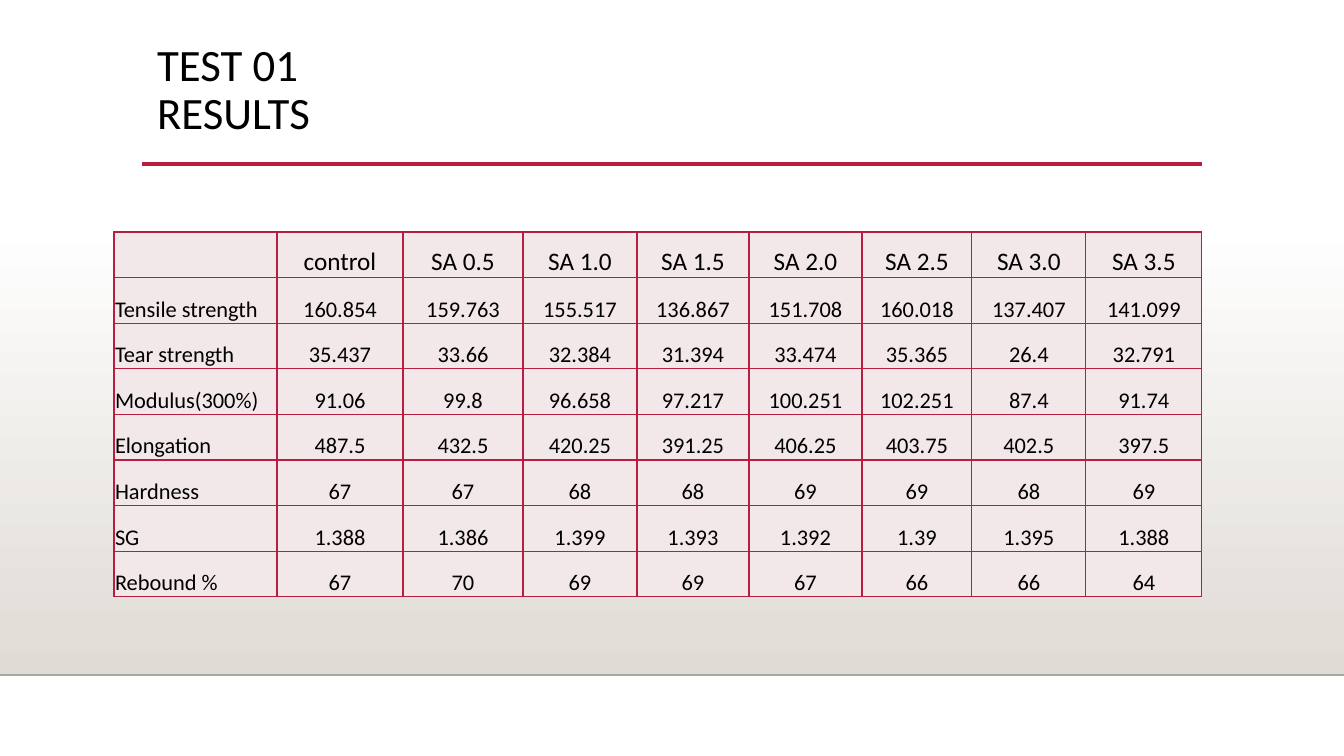
from pptx import Presentation
from pptx import util as u
from pptx.dml.color import RGBColor
from pptx.enum import shapes, text
from pptx.oxml import parse_xml
from pptx.oxml.ns import nsdecls
from lxml import etree

PX = 914400 / 100.8
FONT = "Calibri"
BLACK = RGBColor(0, 0, 0)
WHITE = RGBColor(255, 255, 255)
SAND = RGBColor(0xDF, 0xDB, 0xD5)
GREY = RGBColor(0xA8, 0xA6, 0xA3)
RED = RGBColor(0xB7, 0x1E, 0x42)
PINK = RGBColor(0xF3, 0xE8, 0xE9)

COLS = [163, 126, 120, 114, 112, 113, 110, 114, 116]
DATA = [
    ["", "control", "SA 0.5", "SA 1.0", "SA 1.5", "SA 2.0", "SA 2.5", "SA 3.0", "SA 3.5"],
    ["Tensile strength", "160.854", "159.763", "155.517", "136.867", "151.708", "160.018", "137.407", "141.099"],
    ["Tear strength", "35.437", "33.66", "32.384", "31.394", "33.474", "35.365", "26.4", "32.791"],
    ["Modulus(300%)", "91.06", "99.8", "96.658", "97.217", "100.251", "102.251", "87.4", "91.74"],
    ["Elongation", "487.5", "432.5", "420.25", "391.25", "406.25", "403.75", "402.5", "397.5"],
    ["Hardness", "67", "67", "68", "68", "69", "69", "68", "69"],
    ["SG", "1.388", "1.386", "1.399", "1.393", "1.392", "1.39", "1.395", "1.388"],
    ["Rebound %", "67", "70", "69", "69", "67", "66", "66", "64"],
]


def px(n):
    return u.Emu(round(n * PX))


def add_run(para, words, size):
    run = para.add_run()
    run.text = words
    run.font.name = FONT
    run.font.size = u.Pt(size)
    run.font.color.rgb = BLACK


def add_band(slide, x, y, w, h):
    band = slide.shapes.add_shape(shapes.MSO_SHAPE.RECTANGLE, px(x), px(y), px(w), px(h))
    band.shadow.inherit = False
    band.line.fill.background()
    band.fill.gradient()
    band.fill.gradient_angle = 270
    for stop, color in zip(band.fill.gradient_stops, (WHITE, SAND)):
        stop.color.rgb = color
    for stop, place in zip(band.fill.gradient_stops, (0, 1)):
        stop.position = place


def add_rule(slide, x, y, end, color, width):
    rule = slide.shapes.add_connector(shapes.MSO_CONNECTOR.STRAIGHT, px(x), px(y), px(end), px(y))
    rule.line.color.rgb = color
    rule.line.width = u.Pt(width)
    rule._element.spPr.append(parse_xml(f"<a:effectLst {nsdecls('a')}/>"))


def set_title(slide, lines):
    title = slide.shapes.title
    title.left, title.top, title.width, title.height = px(147), px(33), px(1058), px(116)
    frame = title.text_frame
    frame.word_wrap = True
    frame.auto_size = text.MSO_AUTO_SIZE.NONE
    frame.vertical_anchor = text.MSO_ANCHOR.MIDDLE
    para = frame.paragraphs[0]
    para.alignment = text.PP_ALIGN.LEFT
    para.line_spacing = 0.9
    for i, line in enumerate(lines):
        if i:
            para.add_line_break()
        add_run(para, line, 32)


def set_edges(cell):
    props = cell._tc.get_or_add_tcPr()
    for i, tag in enumerate(("lnL", "lnR", "lnT", "lnB")):
        edge = parse_xml(f'<a:{tag} {nsdecls("a")} w="12700"/>')
        fill = etree.SubElement(edge, edge.tag.replace(tag, "solidFill"))
        etree.SubElement(fill, edge.tag.replace(tag, "srgbClr"), val=str(RED))
        props.insert(i, edge)


def fill_cell(cell, words, size, align):
    cell.fill.solid()
    cell.fill.fore_color.rgb = PINK
    cell.margin_left = cell.margin_right = cell.margin_top = px(1)
    cell.margin_bottom = 0
    cell.vertical_anchor = text.MSO_ANCHOR.BOTTOM
    set_edges(cell)
    if words:
        para = cell.text_frame.paragraphs[0]
        para.alignment = align
        add_run(para, words, size)


def add_grid(slide, x, y, h):
    frame = slide.shapes.add_table(len(DATA), len(COLS), px(x), px(y), px(sum(COLS)), px(h))
    grid = frame.table
    grid.first_row = grid.horz_banding = False
    for col, width in zip(grid.columns, COLS):
        col.width = px(width)
    for r, row in enumerate(DATA):
        for c, words in enumerate(row):
            align = text.PP_ALIGN.CENTER if c else text.PP_ALIGN.LEFT
            fill_cell(grid.cell(r, c), words, 16 if r else 18, align)


def main():
    deck = Presentation()
    deck.slide_width, deck.slide_height = px(1344), px(756)
    slide = deck.slides.add_slide(deck.slide_layouts[5])
    add_band(slide, 0, 223, 1344, 452)
    add_rule(slide, 0, 675, 1344, GREY, 1)
    add_rule(slide, 142, 164, 1202, RED, 2.5)
    set_title(slide, ["TEST 01", "RESULTS"])
    add_grid(slide, 114, 232, 365)
    deck.save("out.pptx")


if __name__ == "__main__":
    main()
